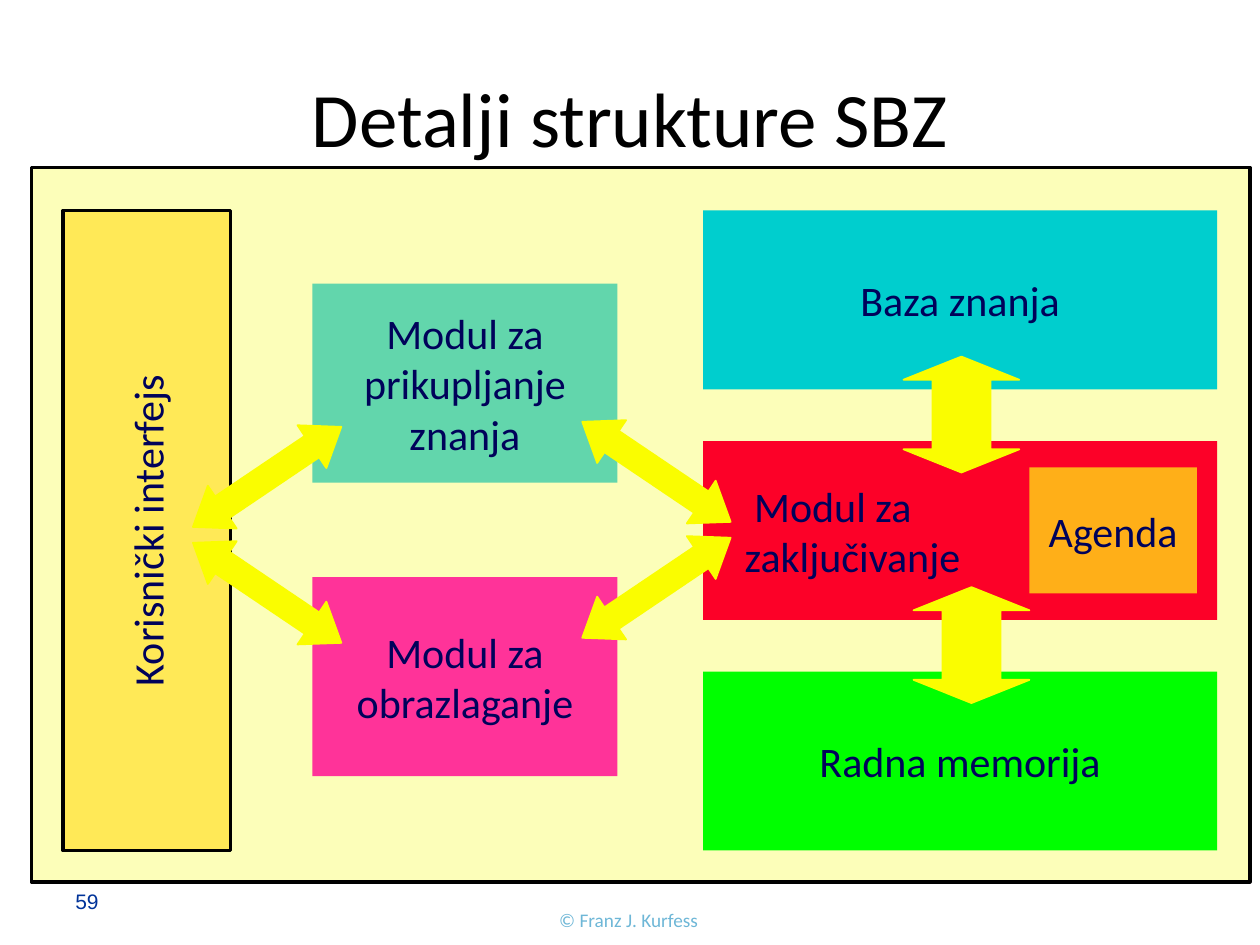
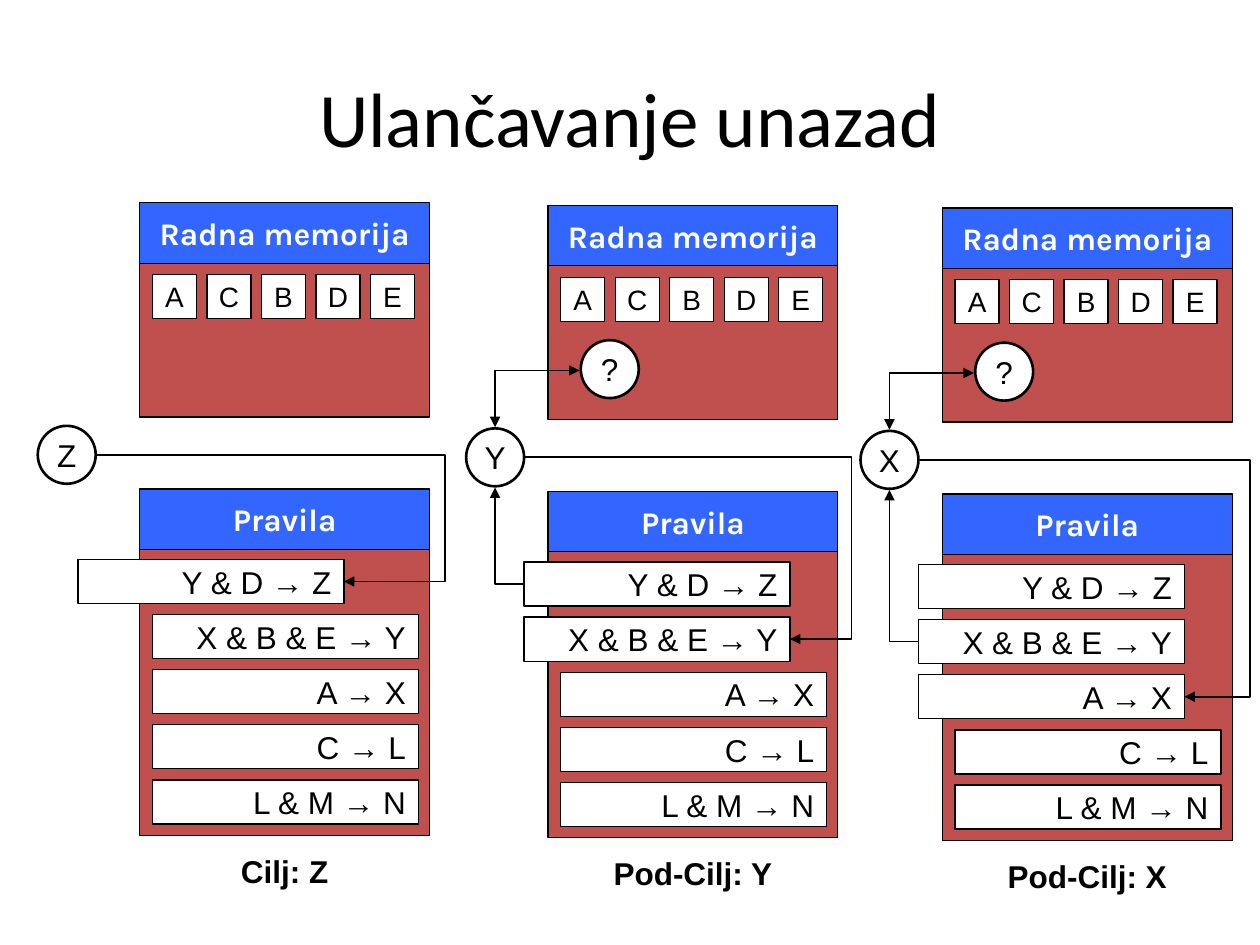
from pptx import Presentation
from pptx.dml.color import RGBColor
from pptx.enum.shapes import MSO_CONNECTOR, MSO_SHAPE as SHAPE
from pptx.enum.text import MSO_ANCHOR, PP_ALIGN as ALIGN
from pptx.oxml.ns import qn
from pptx.util import Inches, Pt
from lxml.etree import SubElement

BLACK, WHITE = "000000", "FFFFFF"
NAVY, YELLOW = "00025A", "FAFD00"
BRICK, BLUE = "C0504D", "3366FF"
TITLE_BOX = (0.5, 0.3, 9, 1.25)


def add_box(slide, kind, box, text="", fill=None, line=None, width=0.75,
            font="Arial", size=18, color=BLACK, bold=False,
            align=ALIGN.CENTER, wrap=False, inset=None):
    """Add a preset shape, or a text box when kind is None."""
    bounds = [Inches(length) for length in box]
    if kind is None:
        shape = slide.shapes.add_textbox(*bounds)
    else:
        shape = slide.shapes.add_shape(kind, *bounds)
        shape.shadow.inherit = False
        shape.fill.solid()
        shape.fill.fore_color.rgb = RGBColor.from_string(fill)
        if line:
            shape.line.color.rgb = RGBColor.from_string(line)
            shape.line.width = Pt(width)
        else:
            shape.line.fill.background()
    if text:
        frame = shape.text_frame
        frame.text = text
        frame.word_wrap = wrap
        frame.vertical_anchor = MSO_ANCHOR.MIDDLE
        if inset is not None:
            frame.margin_left = frame.margin_right = Inches(inset)
            frame.margin_top = frame.margin_bottom = Inches(0)
        for paragraph in frame.paragraphs:
            paragraph.alignment = align
            run_font = paragraph.runs[0].font
            run_font.name, run_font.size, run_font.bold = font, Pt(size), bold
            run_font.color.rgb = RGBColor.from_string(color)
    return shape


def add_elbow(slide, start, end, turn_x=None, both_ends=False):
    """Leave start sideways; turn at turn_x, or only once above or below end."""
    connector = slide.shapes.add_connector(
        MSO_CONNECTOR.ELBOW, *[Inches(length) for length in (*start, *end)])
    connector.line.color.rgb = RGBColor.from_string(BLACK)
    connector.line.width = Pt(1)
    properties = connector.element.spPr
    geometry = properties.find(qn("a:prstGeom"))
    if turn_x is None:
        geometry.set("prst", "bentConnector2")
    else:
        adjustments = geometry.find(qn("a:avLst"))
        if adjustments is None:
            adjustments = SubElement(geometry, qn("a:avLst"))
        bend = round((turn_x - start[0]) / (end[0] - start[0]) * 100000)
        SubElement(adjustments, qn("a:gd"), name="adj1", fmla=f"val {bend}")
    outline = properties.find(qn("a:ln"))
    if both_ends:
        SubElement(outline, qn("a:headEnd"), type="triangle")
    SubElement(outline, qn("a:tailEnd"), type="triangle")
    SubElement(properties, qn("a:effectLst"))


presentation = Presentation()
presentation.slide_width = Inches(10)
presentation.slide_height = Inches(7.5)
slides = []
for title in ("Detalji strukture SBZ", "Ulančavanje unazad"):
    slide = presentation.slides.add_slide(presentation.slide_layouts[6])
    add_box(slide, None, TITLE_BOX, title, font="Calibri", size=44, wrap=True)
    slides.append(slide)
structure, chaining = slides

# Slide 1: the modules of the system
add_box(structure, None, (0.5, 6.95, 2.33, 0.4), "59", size=12,
        color="003399", align=ALIGN.LEFT, wrap=True)
add_box(structure, None, (3.36, 7.17, 3.26, 0.26), "© Franz J. Kurfess",
        font="Calibri", size=11, color="6EB7D7", wrap=True, inset=0.04)
add_box(structure, SHAPE.RECTANGLE, (0.25, 1.33, 9.67, 5.67),
        fill="FCFEB9", line=BLACK, width=2)

label = {"font": "Calibri", "size": 24, "color": NAVY, "inset": 0}
interface = add_box(structure, SHAPE.RECTANGLE, (0.5, 1.67, 1.33, 5.08),
                    "Korisnički interfejs", "FFE957", BLACK, 2, **label)
interface.text_frame._txBody.bodyPr.set("vert", "vert270")

modules = [
    ((5.58, 1.67, 4.08, 1.42), "Baza znanja", "00CECE"),
    ((5.58, 5.33, 4.08, 1.42), "Radna memorija", "00FF00"),
    ((2.48, 2.25, 2.42, 1.58), "Modul za prikupljanje znanja", "62D6AC"),
    ((2.48, 4.58, 2.42, 1.58), "Modul za obrazlaganje", "FF3399"),
]
for box, text, fill in modules:
    add_box(structure, SHAPE.RECTANGLE, box, text, fill, wrap=True, **label)
inference = add_box(structure, SHAPE.RECTANGLE, (5.58, 3.5, 4.08, 1.42),
                    " Modul za\nzaključivanje", "FC0128",
                    align=ALIGN.LEFT, wrap=True, **label)
inference.text_frame.margin_left = Inches(0.33)
add_box(structure, SHAPE.RECTANGLE, (8.17, 3.71, 1.33, 1), "Agenda",
        "FFAF18", **label)

UPRIGHT, SLANTED = (0.92, 0.92, 0.2), (1.42, 0.41, 0.685)
arrows = [
    (7.17, 2.83, 90, UPRIGHT), (7.25, 4.66, 90, UPRIGHT),
    (4.5, 3.54, 34, SLANTED), (4.5, 4.46, -34, SLANTED),
    (1.41, 3.58, -34, SLANTED), (1.41, 4.5, 34, SLANTED),
]
for left, top, angle, (length, thickness, head) in arrows:
    arrow = add_box(structure, SHAPE.LEFT_RIGHT_ARROW,
                    (left, top, length, thickness),
                    fill=YELLOW, line=YELLOW, width=1)
    arrow.adjustments[0], arrow.adjustments[1] = 0.5, head
    arrow.rotation = angle

# Slide 2: three steps of backward chaining
RULES = ["Y & D → Z", "X & B & E → Y", "A → X", "C → L", "L & M → N"]
FACTS = "ACBDE"
PANEL_WIDTH, HEADER_HEIGHT = 2.3, 0.48
RULE_WIDTH, ROW_HEIGHT, RULE_STEP, FACT_STEP = 2.11, 0.35, 1.75 / 4, 1.73 / 4
CIRCLE = 0.46
white_box = {"fill": WHITE, "line": BLACK}

# left, top, goal, caption, goal's left, rule pull-out, x of the turn
steps = [
    (1.11, 1.61, "Z", "Cilj: Z", 0.3, -0.49, 3.53),
    (4.35, 1.63, "Y", "Pod-Cilj: Y", 3.7, -0.19, 6.76),
    (7.48, 1.65, "X", "Pod-Cilj: X", 6.83, -0.19, 9.92),
]
for active, step in enumerate(steps):
    left, top, goal, caption, goal_left, pull_out, turn_x = step
    panels = [("Radna memorija", top, 1.23), ("Pravila", top + 2.27, 2.28)]
    for heading, panel_top, body_height in panels:
        add_box(chaining, SHAPE.RECTANGLE,
                (left, panel_top + 0.47, PANEL_WIDTH, body_height),
                fill=BRICK, line=BLACK)
        add_box(chaining, SHAPE.RECTANGLE,
                (left, panel_top, PANEL_WIDTH, HEADER_HEIGHT), heading,
                BLUE, BLACK, font="Karla", color=WHITE, bold=True)

    for column, fact in enumerate(FACTS):
        add_box(chaining, SHAPE.RECTANGLE,
                (left + 0.1 + column * FACT_STEP, top + 0.57,
                 ROW_HEIGHT, ROW_HEIGHT), fact, size=16, **white_box)
    rules_top = top + 2.83
    for row, rule in enumerate(RULES):
        shift = pull_out if row <= active else 0.1
        add_box(chaining, SHAPE.RECTANGLE,
                (left + shift, rules_top + row * RULE_STEP,
                 RULE_WIDTH, ROW_HEIGHT), rule, align=ALIGN.RIGHT, **white_box)
    add_box(chaining, None, (left + 0.4, top + 5.1, 1.5, 0.4), caption,
            bold=True)

    goal_top = top + 1.77
    goal_x, goal_y = goal_left + CIRCLE / 2, goal_top + CIRCLE / 2
    add_box(chaining, SHAPE.OVAL, (goal_left, goal_top, CIRCLE, CIRCLE),
            goal, width=1.5, **white_box)
    rule_y = rules_top + active * RULE_STEP + ROW_HEIGHT / 2
    add_elbow(chaining, (goal_left + CIRCLE + 0.01, goal_y),
              (left + pull_out + RULE_WIDTH, rule_y), turn_x)
    if active:
        add_elbow(chaining, (left + pull_out, rule_y - RULE_STEP),
                  (goal_x, goal_top + CIRCLE + 0.01))
        add_box(chaining, SHAPE.OVAL, (left + 0.26, top + 1.07, CIRCLE, CIRCLE),
                "?", width=1.5, **white_box)
        add_elbow(chaining, (left + 0.25, top + 1.31),
                  (goal_x, goal_top - 0.01), both_ends=True)

presentation.save("out.pptx")
